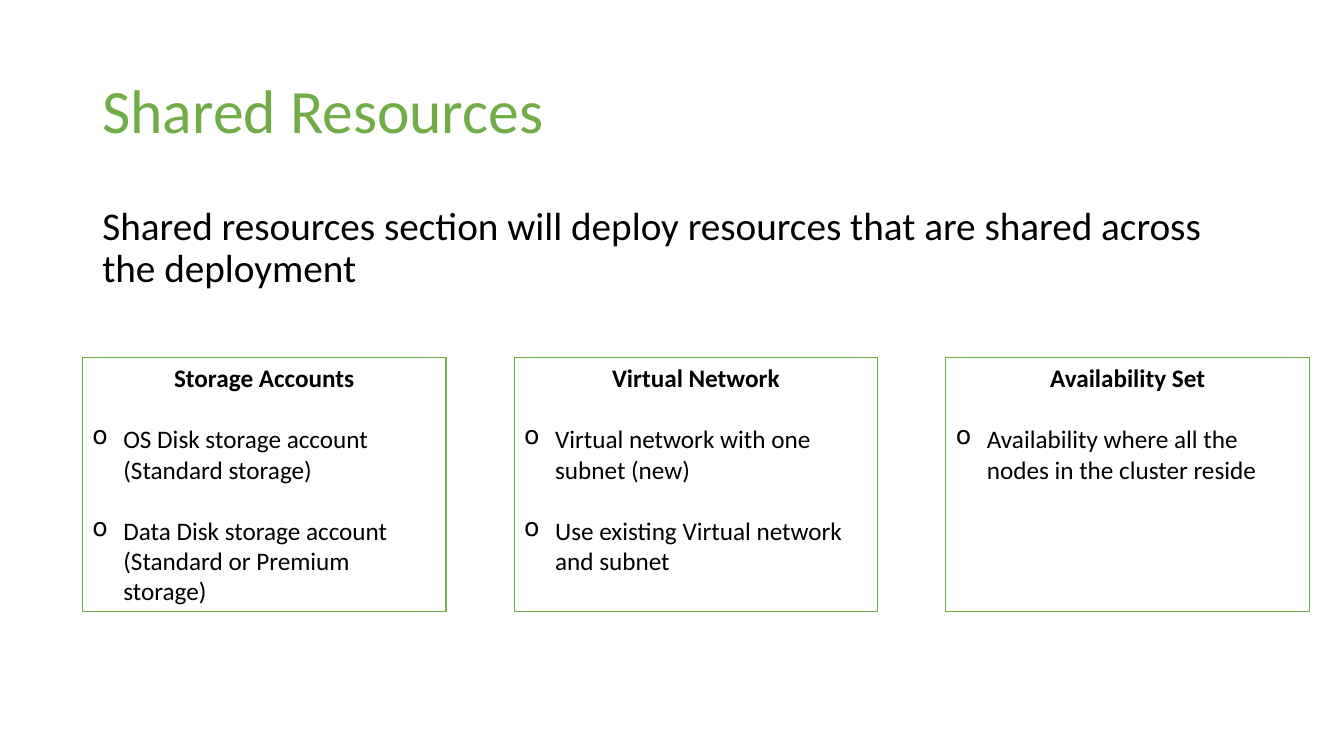
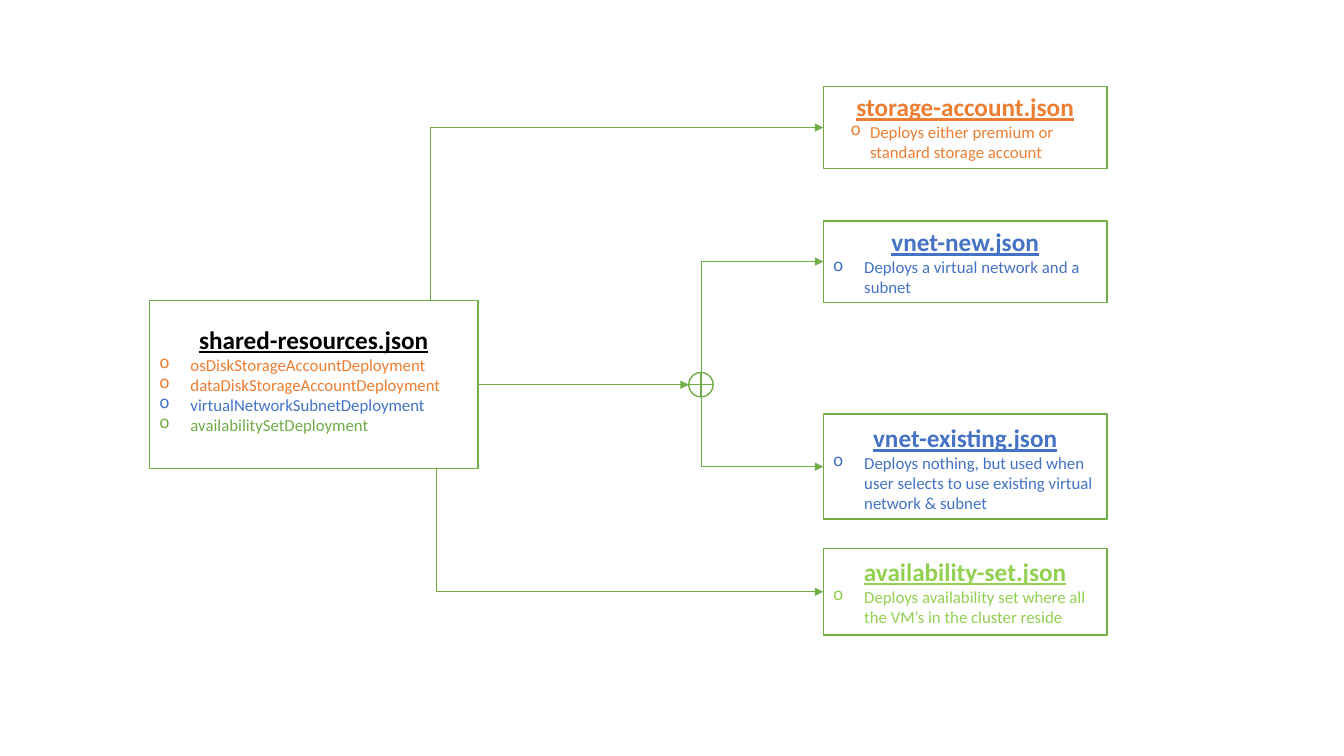
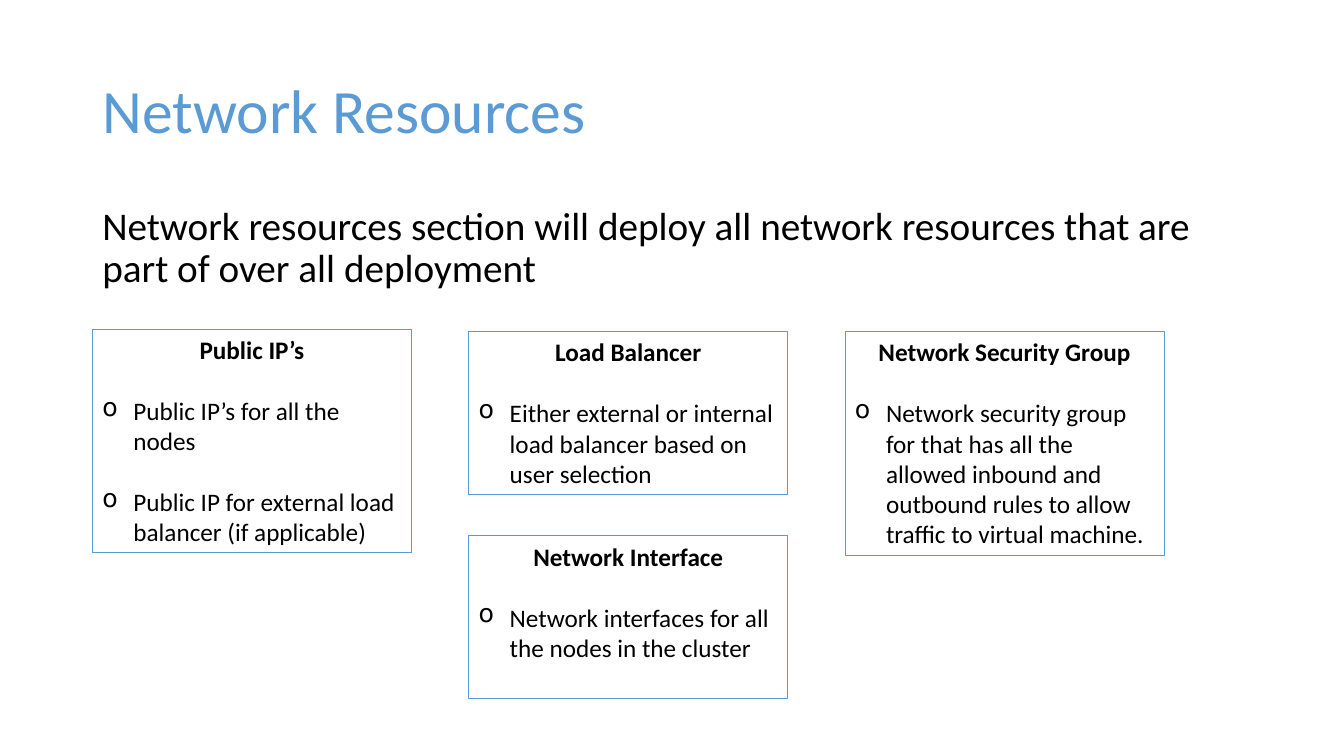
from lxml import etree
from pptx import Presentation
from pptx import util as u
from pptx.dml.color import RGBColor
from pptx.enum import shapes, text
from pptx.oxml.ns import qn

COLORS = {
    "black": "000000", "white": "FFFFFF", "green": "70AD47", "lime": "92D050",
    "sky": "5B9BD5", "blue": "4472C4", "orange": "ED7D31",
}
FONT = "Calibri"
COLUMNS, ROWS = 16, 9
WIDTH, HEIGHT = u.Inches(13.33), u.Inches(7.5)
INDENT = 0.37


def rgb(name):
    """Return the palette colour with this name."""
    return RGBColor.from_string(COLORS[name])


def col(n):
    """Convert grid columns to a length."""
    return u.Emu(round(n * WIDTH / COLUMNS))


def row(n):
    """Convert grid rows to a length."""
    return u.Emu(round(n * HEIGHT / ROWS))


def place(left, top, width, height):
    """Convert a grid rectangle to slide lengths."""
    return col(left), row(top), col(width), row(height)


class Deck:
    """Holds the presentation, its style and the current slide."""

    def __init__(self):
        """Start an empty presentation."""
        self.prs = Presentation()
        self.prs.slide_width, self.prs.slide_height = WIDTH, HEIGHT

    def slide(self):
        """Add a blank slide and make it current."""
        self.s = self.prs.slides.add_slide(self.prs.slide_layouts[6])

    def paragraph(self, tf, words, size, color, bold=False, first=False):
        """Write one styled paragraph and return it."""
        p = tf.paragraphs[0] if first else tf.add_paragraph()
        p.text = words
        p.alignment = text.PP_ALIGN.LEFT
        for r in p.runs:
            r.font.name, r.font.size = FONT, u.Pt(size)
            r.font.bold, r.font.color.rgb = bold, rgb(color)
        return p

    def bullet(self, p, indent):
        """Give a paragraph a hanging round bullet."""
        pr = p._p.get_or_add_pPr()
        pr.set("marL", str(col(indent)))
        pr.set("indent", str(-col(indent)))
        etree.SubElement(pr, qn("a:buChar")).set("char", "o")

    def text_box(self, at, anchor=text.MSO_ANCHOR.TOP):
        """Add a wrapping text box and return its text frame."""
        tf = self.s.shapes.add_textbox(*place(*at)).text_frame
        tf.word_wrap, tf.vertical_anchor = True, anchor
        return tf

    def header(self, title, color, summary):
        """Add the slide title and the sentence below it."""
        blocks = (
            (title, 44, color, (1.1, 0.48, 13.8, 1.74), text.MSO_ANCHOR.MIDDLE, 0),
            (summary, 28, "black", (1.1, 2.4, 13.8, 5.71), text.MSO_ANCHOR.TOP, 10),
        )
        for words, size, shade, at, anchor, before in blocks:
            p = self.paragraph(self.text_box(at, anchor), words, size, shade, first=True)
            p.line_spacing, p.space_before = 0.9, u.Pt(before)

    def shape(self, at, line, weight, kind=shapes.MSO_SHAPE.RECTANGLE, fill=None):
        """Add an outlined shape, filled on request."""
        sp = self.s.shapes.add_shape(kind, *place(*at))
        sp.shadow.inherit = False
        sp.line.color.rgb, sp.line.width = rgb(line), u.Pt(weight)
        if fill:
            sp.fill.solid()
            sp.fill.fore_color.rgb = rgb(fill)
        else:
            sp.fill.background()
        return sp

    def card(self, at, line, heading, items):
        """Add a framed card with a heading and spaced bullets."""
        tf = self.shape(at, line, 0.75).text_frame
        tf.word_wrap, tf.vertical_anchor = True, text.MSO_ANCHOR.TOP
        p = self.paragraph(tf, heading, 18, "black", bold=True, first=True)
        p.alignment = text.PP_ALIGN.CENTER
        for item in items:
            p = self.paragraph(tf, item, 18, "black")
            p.space_before = u.Pt(22)
            self.bullet(p, INDENT)

    def file_box(self, frame, label, name, color, items, indent=INDENT):
        """Add a frame with a file name and (text, colour) bullets."""
        self.shape(frame, "green", 1)
        tf = self.text_box(label)
        p = self.paragraph(tf, name, 18, color, bold=True, first=True)
        p.alignment = text.PP_ALIGN.CENTER
        p.runs[0].font.underline = True
        for words, shade in items:
            self.bullet(self.paragraph(tf, words, 12, shade), indent)

    def arrow(self, x1, y1, x2, y2):
        """Add an arrow; if not level it runs vertically, then across."""
        level = y1 == y2
        kind = shapes.MSO_CONNECTOR.STRAIGHT if level else shapes.MSO_CONNECTOR.ELBOW
        c = self.s.shapes.add_connector(kind, col(x1), row(y1), col(x2), row(y2))
        c.line.color.rgb, c.line.width = rgb("green"), u.Pt(0.5)
        etree.SubElement(c.line._get_or_add_ln(), qn("a:tailEnd")).set("type", "triangle")
        pr = c._element.spPr
        etree.SubElement(pr, qn("a:effectLst"))
        if not level:
            guides = pr.find(qn("a:prstGeom")).get_or_add_avLst()
            gd = etree.SubElement(guides, qn("a:gd"))
            gd.set("name", "adj1")
            gd.set("fmla", "val 0")


def shared_resources(deck):
    """Build the overview of shared resources."""
    deck.slide()
    deck.header("Shared Resources", "green",
                "Shared resources section will deploy resources that are shared "
                "across the deployment")
    cards = (
        ("Storage Accounts", ("OS Disk storage account (Standard storage)",
                              "Data Disk storage account (Standard or Premium storage)")),
        ("Virtual Network", ("Virtual network with one subnet (new)",
                             "Use existing Virtual network and subnet")),
        ("Availability Set", ("Availability where all the nodes in the cluster reside",)),
    )
    for i, (heading, items) in enumerate(cards):
        deck.card((0.98 + 5.14 * i, 4.26, 4.33, 3.02), "green", heading, items)


def template_files(deck):
    """Build the diagram of linked template files."""
    deck.slide()
    left, width = 9.8, 3.38
    hub_left, hub_top, hub_width, hub_height = hub = (1.78, 3.58, 3.91, 2)
    deck.file_box(hub, (hub_left, 3.8, hub_width, 1.45), "shared-resources.json", "black", (
        ("osDiskStorageAccountDeployment", "orange"),
        ("dataDiskStorageAccountDeployment", "orange"),
        ("virtualNetworkSubnetDeployment", "blue"),
        ("availabilitySetDeployment", "green")))

    # name, colour, bullet, frame top and height, label top and height, label inset, indent
    files = (
        ("storage-account.json", "orange",
         "Deploys either premium or standard storage account",
         1.03, 0.98, 1.03, 0.97, 0.21, 0.23),
        ("vnet-new.json", "blue", "Deploys a virtual network and a subnet",
         2.63, 0.97, 2.64, 0.97, 0, INDENT),
        ("vnet-existing.json", "blue",
         "Deploys nothing, but used when user selects to use existing virtual "
         "network & subnet", 4.93, 1.25, 4.97, 1.21, 0, INDENT),
        ("availability-set.json", "lime",
         "Deploys availability set where all the VM’s in the cluster reside",
         6.53, 1.03, 6.56, 1.33, 0, INDENT),
    )
    centers = []
    for name, color, words, top, height, label_top, label_height, inset, indent in files:
        deck.file_box((left, top, width, height),
                      (left + inset, label_top, width - 2 * inset, label_height),
                      name, color, ((words, color),), indent)
        centers.append(top + height / 2)

    size, middle = 0.29, hub_top + hub_height / 2
    junction_left, junction_top = 8.2, middle - size / 2
    junction_x = junction_left + size / 2
    deck.shape((junction_left, junction_top, size, size), "green", 1,
               shapes.MSO_SHAPE.FLOWCHART_OR, "white")
    deck.arrow(hub_left + hub_width, middle, junction_left, middle)
    starts = ((5.12, hub_top), (junction_x, junction_top),
              (junction_x, junction_top + size), (5.2, hub_top + hub_height))
    for (x, y), center in zip(starts, centers):
        deck.arrow(x, y, left, center)


def network_resources(deck):
    """Build the overview of network resources."""
    deck.slide()
    deck.header("Network Resources", "sky",
                "Network resources section will deploy all network resources that are "
                "part of over all deployment")
    cards = (
        (0, 3.92, 2.66, "Public IP’s", ("Public IP’s for all the nodes",
                                        "Public IP for external load balancer (if applicable)")),
        (1, 3.95, 1.94, "Load Balancer",
         ("Either external or internal load balancer based on user selection",)),
        (2, 3.95, 2.66, "Network Security Group",
         ("Network security group for that has all the allowed inbound and outbound "
          "rules to allow traffic to virtual machine.",)),
        (1, 6.38, 1.94, "Network Interface",
         ("Network interfaces for all the nodes in the cluster",)),
    )
    for i, top, height, heading, items in cards:
        deck.card((1.1 + 4.48 * i, top, 3.8, height), "sky", heading, items)


deck = Deck()
for build in (shared_resources, template_files, network_resources):
    build(deck)
deck.prs.save("out.pptx")
